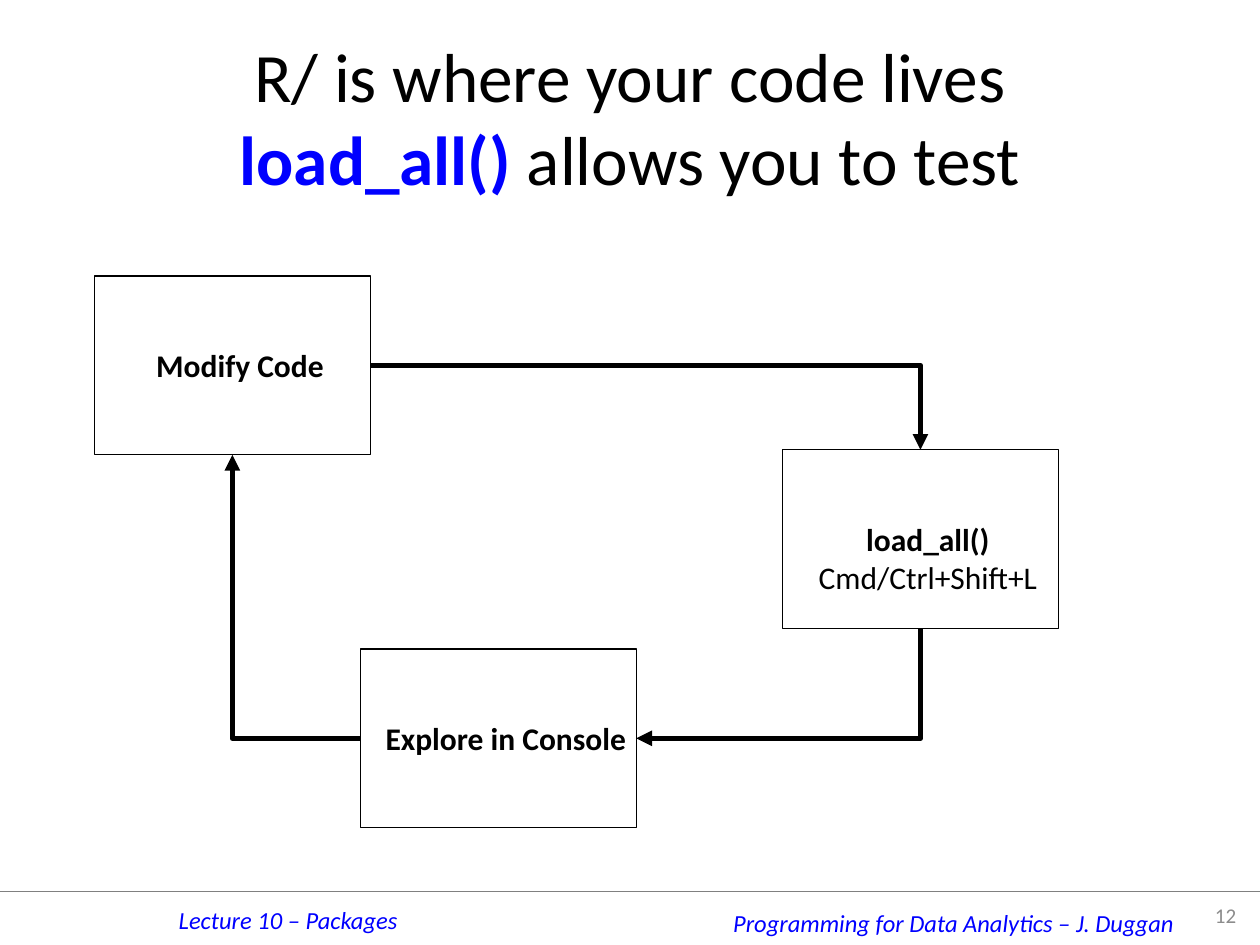
from lxml import etree
from pptx import Presentation
from pptx import util as u
from pptx.dml.color import RGBColor
from pptx.enum import shapes, text
from pptx.oxml.ns import qn

HUES = {"ink": "000000", "blue": "0000FF", "gray": "8C8C8C", "rule": "808080"}
FONT = "Calibri"
BOX_W, BOX_H = 2.19, 1.42


def add_run(para, words, size, hue="ink", bold=False, slant=False):
    """Add one styled run to a paragraph."""
    run = para.add_run()
    run.text = words
    font = run.font
    font.name, font.size = FONT, u.Pt(size)
    font.bold, font.italic = bold, slant
    font.color.rgb = RGBColor.from_string(HUES[hue])


def add_label(slide, box, lines, align, anchor=text.MSO_ANCHOR.TOP):
    """Place an unwrapped text box with one paragraph per list of runs."""
    frame = slide.shapes.add_textbox(*map(u.Inches, box)).text_frame
    frame.word_wrap = False
    frame.vertical_anchor = anchor
    for i, runs in enumerate(lines):
        para = frame.add_paragraph() if i else frame.paragraphs[0]
        para.alignment = align
        for run in runs:
            add_run(para, *run)


def style_line(line, hue, width):
    """Strip the shadow from a connector and set its colour and width."""
    etree.SubElement(line._element.spPr, qn("a:effectLst"))
    line.line.color.rgb = RGBColor.from_string(HUES[hue])
    line.line.width = u.Pt(width)


def add_title(slide, box):
    """Place the two-line title."""
    title = slide.shapes.title
    title.left, title.top, title.width, title.height = map(u.Inches, box)
    frame = title.text_frame
    frame.auto_size = text.MSO_AUTO_SIZE.NONE
    frame.vertical_anchor = text.MSO_ANCHOR.MIDDLE
    para = frame.paragraphs[0]
    para.alignment = text.PP_ALIGN.CENTER
    add_run(para, "R/ is where your code lives", 39.6)
    para.add_line_break()
    add_run(para, "load_all() ", 39.6, "blue", True)
    add_run(para, "allows you to test", 39.6)


def add_step(slide, left, top, wide, lines):
    """Draw one framed step with its label a little right of centre."""
    rect = slide.shapes.add_shape(
        shapes.MSO_SHAPE.RECTANGLE, *map(u.Inches, (left, top, BOX_W, BOX_H)))
    rect.shadow.inherit = False
    rect.fill.background()
    rect.line.color.rgb = RGBColor.from_string(HUES["ink"])
    rect.line.width = u.Pt(0.75)
    high = 0.09 + 0.31 * len(lines)
    box = (left + (BOX_W - wide) / 2 + 0.06, top + 0.51, wide, high)
    add_label(slide, box, lines, text.PP_ALIGN.CENTER)


def add_arrow(slide, start, end, turn=False):
    """Draw a one-bend arrow; with turn it goes down first, then left."""
    (x1, y1), (x2, y2) = start, end
    if turn:
        mid_x, mid_y = (x1 + x2) / 2, (y1 + y2) / 2
        half_w, half_h = (y2 - y1) / 2, (x1 - x2) / 2
        x1, x2 = mid_x - half_w, mid_x + half_w
        y1, y2 = mid_y - half_h, mid_y + half_h
    line = slide.shapes.add_connector(
        shapes.MSO_CONNECTOR.ELBOW, *map(u.Inches, (x1, y1, x2, y2)))
    props = line._element.spPr
    props.find(qn("a:prstGeom")).set("prst", "bentConnector2")
    if turn:
        props.find(qn("a:xfrm")).set("rot", "5400000")
    style_line(line, "ink", 3)
    etree.SubElement(line.line._get_or_add_ln(), qn("a:tailEnd"), type="triangle")


def add_cycle(slide, left, top):
    """Draw the three steps and the arrows that join them."""
    edit = (left, top)
    load = (left + 5.46, top + 1.38)
    test = (left + 2.11, top + 2.96)
    add_step(slide, *edit, 1.55, [[("Modify Code", 18, "ink", True)]])
    add_step(slide, *load, 1.97, [[("load_all()", 18, "ink", True)],
                                  [("Cmd/Ctrl+Shift+L", 18)]])
    add_step(slide, *test, 2.14, [[("Explore in Console", 18, "ink", True)]])

    def site(step, across, down):
        """Return a point at a share of a step's width and height."""
        return step[0] + BOX_W * across, step[1] + BOX_H * down

    add_arrow(slide, site(edit, 1, 0.5), site(load, 0.5, 0))
    add_arrow(slide, site(load, 0.5, 1), site(test, 1, 0.5), turn=True)
    add_arrow(slide, site(test, 0, 0.5), site(edit, 0.5, 1))


def add_footer(slide, top):
    """Draw the footer rule, its two captions and the slide number."""
    rule = slide.shapes.add_connector(
        shapes.MSO_CONNECTOR.STRAIGHT, *map(u.Inches, (0, top, 10, top)))
    style_line(rule, "rule", 0.25)
    for box, words in (
            ((1.32, top + 0.06, 2.01, 0.34), "Lecture 10 – Packages"),
            ((5.72, top + 0.09, 3.78, 0.34),
             "Programming for Data Analytics – J. Duggan")):
        add_label(slide, box, [[(words, 14, "blue", False, True)]],
                  text.PP_ALIGN.LEFT)
    add_label(slide, (9.5, top, 0.41, 0.39), [[("12", 12, "gray")]],
              text.PP_ALIGN.RIGHT, text.MSO_ANCHOR.MIDDLE)


def main():
    """Build the slide and save it."""
    deck = Presentation()
    deck.slide_width, deck.slide_height = u.Inches(10), u.Inches(7.5)
    slide = deck.slides.add_slide(deck.slide_layouts[5])
    add_footer(slide, 7.07)
    add_title(slide, (0.5, 0.3, 9, 1.25))
    add_cycle(slide, 0.75, 2.19)
    deck.save("out.pptx")


if __name__ == "__main__":
    main()
